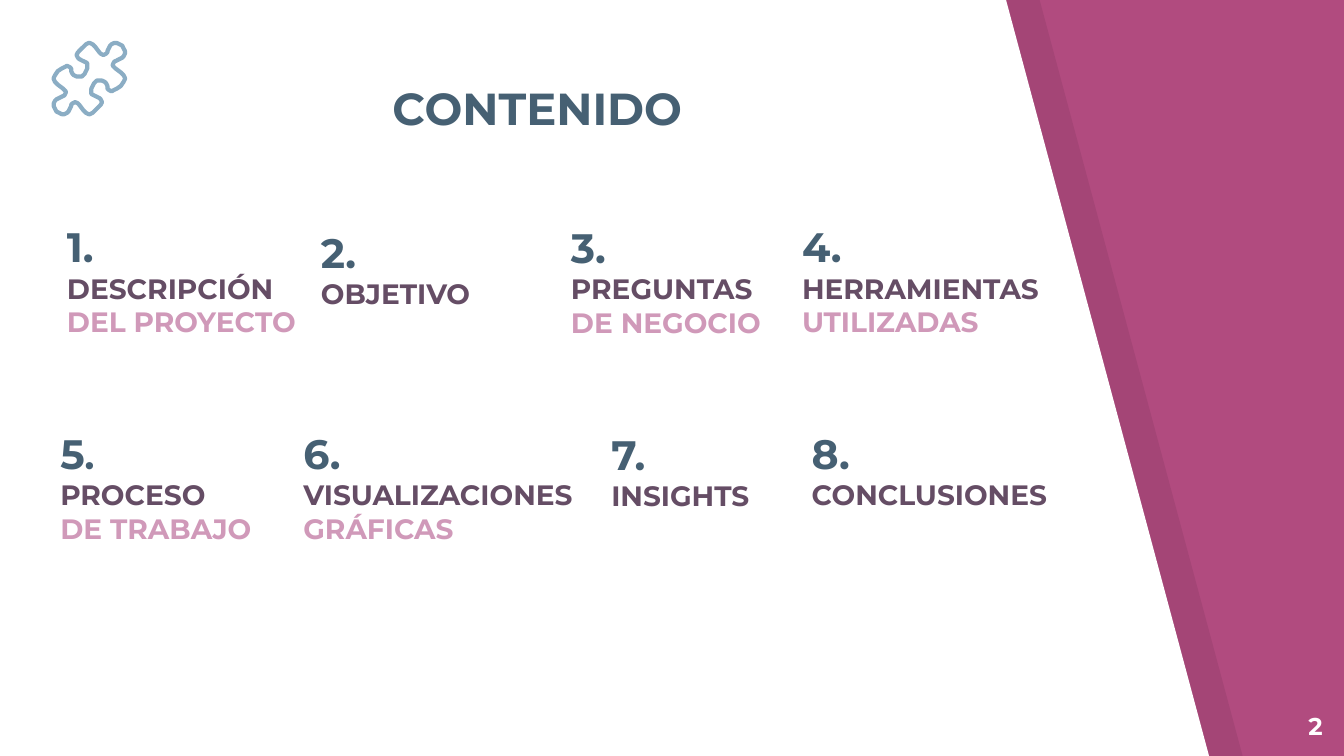
from lxml.etree import SubElement
from pptx import Presentation
from pptx.dml.color import RGBColor
from pptx.enum.shapes import MSO_SHAPE
from pptx.enum.text import MSO_ANCHOR, PP_ALIGN
from pptx.oxml.ns import qn
from pptx.util import Pt

MAGENTA = RGBColor(0xB1, 0x4B, 0x7F)
BLACK = RGBColor(0x00, 0x00, 0x00)
WHITE = RGBColor(0xFF, 0xFF, 0xFF)
SLATE = RGBColor(0x46, 0x60, 0x73)
PLUM = RGBColor(0x65, 0x4D, 0x65)
PINK = RGBColor(0xD0, 0x99, 0xB9)
SKY = RGBColor(0x8B, 0xAD, 0xC4)

TOP, MIDDLE, BOTTOM = MSO_ANCHOR.TOP, MSO_ANCHOR.MIDDLE, MSO_ANCHOR.BOTTOM
LEFT, CENTER, RIGHT = PP_ALIGN.LEFT, PP_ALIGN.CENTER, PP_ALIGN.RIGHT

PANEL = [(0, -1), (0, 406), (648, 406), (539, 0)]
PANEL_SHADOW_OFFSET = 18

PUZZLE_HALF = [
    (87, 45), (89, 44), (91, 43), (92, 42), (93, 40), (93, 38), (92, 36),
    (91, 34), (89, 33), (87, 32), (85, 32), (83, 33), (82, 34), (81, 36),
    (80, 38), (80, 39), (79, 40), (77, 41), (75, 40), (74, 39), (71, 35),
    (69, 33), (67, 32), (66, 32), (64, 33), (62, 35), (60, 37), (58, 39),
    (57, 41), (58, 43), (59, 44), (61, 45), (63, 46), (65, 47), (65, 49),
    (65, 51), (64, 53), (63, 55), (61, 57), (59, 57), (57, 57), (55, 56),
    (54, 55), (53, 53), (53, 51), (52, 50), (50, 49), (48, 50), (46, 51),
    (43, 53), (41, 56), (40, 58), (40, 59), (41, 61), (43, 63), (47, 66),
    (49, 68), (49, 69), (48, 71),
]
PUZZLE_UNIT = 0.72


def heading(number):
    return [(number, 22, SLATE), (".", 22, SLATE)]


def dark(words):
    return (words, 15, PLUM)


def light(words):
    return (words, 15, PINK)


SECTIONS = [
    ((28.8, 111.6, 149, 77.8), TOP,
     [heading("1"), [dark("DESCRIPCIÓN")], [light("DEL PROYECTO")]]),
    ((164.9, 103.7, 110.9, 80.6), MIDDLE,
     [heading("2"), [dark("OBJETIVO")]]),
    ((298.8, 108.7, 123.1, 83.5), MIDDLE,
     [heading("3"), [dark("PREGUNTAS")], [light("DE NEGOCIO")]]),
    ((422.6, 111.6, 146.2, 77.8), TOP,
     [heading("4"), [dark("HERRAMIENTAS")], [light("UTILIZADAS")]]),
    ((25.2, 222.5, 121, 77.8), TOP,
     [[("5", 22, SLATE), (".", 20, SLATE)],
      [dark("PROCESO")], [light("DE TRABAJO")]]),
    ((155.5, 222.5, 172.8, 77.8), TOP,
     [heading("6"), [dark("VISUALIZACIONES "), light("GRÁFICAS")]]),
    ((320.4, 222.5, 101.5, 59), MIDDLE,
     [heading("7"), [dark("INSIGHTS")]]),
    ((427.7, 222.5, 151.9, 59), TOP,
     [heading("8"), [dark("CONCLUSIONES")]]),
]


class SlideBuilder:
    font_name = "Montserrat"
    inset = Pt(7.2)

    def __init__(self, slide):
        self.slide = slide

    def background(self, color):
        fill = self.slide.background.fill
        fill.solid()
        fill.fore_color.rgb = color

    def outline(self, points, unit=1):
        builder = self.slide.shapes.build_freeform(*points[0], scale=Pt(unit))
        builder.add_line_segments(points[1:], close=True)
        shape = builder.convert_to_shape()
        shape.shadow.inherit = False
        return shape

    def panel(self, points, color, opacity=100):
        shape = self.outline(points)
        shape.fill.solid()
        shape.fill.fore_color.rgb = color
        shape.line.fill.background()
        if opacity < 100:
            tint = shape.element.spPr.find(qn("a:solidFill"))[0]
            SubElement(tint, qn("a:alpha"), val=str(opacity * 1000))

    def icon(self, points, unit, color, width):
        shape = self.outline(points, unit)
        shape.fill.background()
        shape.line.color.rgb = color
        shape.line.width = Pt(width)

    def set_text(self, shape, paragraphs, anchor, align):
        frame = shape.text_frame
        frame.word_wrap = True
        frame.vertical_anchor = anchor
        frame.margin_left = frame.margin_right = self.inset
        frame.margin_top = frame.margin_bottom = self.inset
        for index, runs in enumerate(paragraphs):
            paragraph = frame.add_paragraph() if index else frame.paragraphs[0]
            paragraph.alignment = align
            for words, size, color in runs:
                run = paragraph.add_run()
                run.text = words
                run.font.name = self.font_name
                run.font.size = Pt(size)
                run.font.bold = True
                run.font.color.rgb = color

    def text(self, bounds, paragraphs, anchor=TOP, align=LEFT):
        box = self.slide.shapes.add_textbox(*map(Pt, bounds))
        self.set_text(box, paragraphs, anchor, align)

    def card(self, bounds, paragraphs, anchor):
        card = self.slide.shapes.add_shape(MSO_SHAPE.RECTANGLE, *map(Pt, bounds))
        card.shadow.inherit = False
        card.fill.solid()
        card.fill.fore_color.rgb = WHITE
        card.line.fill.background()
        self.set_text(card, paragraphs, anchor, LEFT)


def main():
    deck = Presentation()
    deck.slide_width, deck.slide_height = Pt(720), Pt(405)
    contents = SlideBuilder(deck.slides.add_slide(deck.slide_layouts[6]))

    contents.background(MAGENTA)
    panel_shadow = [(x + PANEL_SHADOW_OFFSET, y) for x, y in PANEL]
    contents.panel(panel_shadow, BLACK, opacity=7)
    contents.panel(PANEL, WHITE)

    contents.text((102.2, 46.8, 378, 32.4), [[("CONTENIDO ", 24, SLATE)]],
                  BOTTOM, CENTER)
    for bounds, anchor, paragraphs in SECTIONS:
        contents.card(bounds, paragraphs, anchor)

    opposite_half = [(133 - x, 117 - y) for x, y in PUZZLE_HALF]
    contents.icon(PUZZLE_HALF + opposite_half, PUZZLE_UNIT, SKY, 2.25)
    contents.text((672.5, 373.7, 43.2, 31), [[("2", 13, WHITE)]], align=RIGHT)

    deck.save("out.pptx")


if __name__ == "__main__":
    main()
